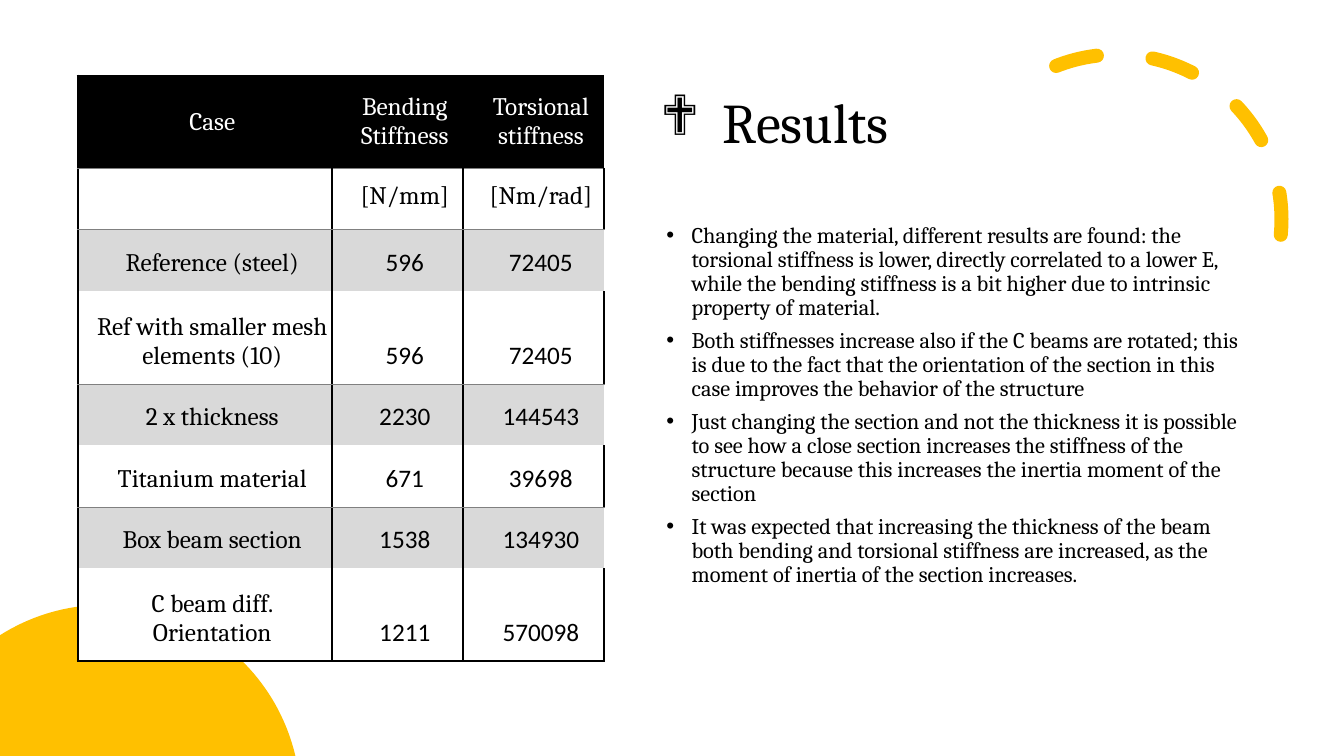
from math import acos, asin, cos, sin
from lxml.etree import SubElement
from pptx import Presentation
from pptx.dml.color import RGBColor
from pptx.enum.dml import MSO_LINE
from pptx.enum.shapes import MSO_SHAPE
from pptx.enum.text import MSO_ANCHOR, MSO_AUTO_SIZE, PP_ALIGN
from pptx.oxml.ns import qn
from pptx.util import Pt

TITLE = "Results"
POINTS = [
    "Changing the material, different results are found: the torsional stiffness is lower, "
    "directly correlated to a lower E, while the bending stiffness is a bit higher due to "
    "intrinsic property of material.",
    "Both stiffnesses increase also if the C beams are rotated; this is due to the fact that "
    "the orientation of the section in this case improves the behavior of the structure",
    "Just changing the section and not the thickness it is possible to see how a close section "
    "increases the stiffness of the structure because this increases the inertia moment of the "
    "section",
    "It was expected that increasing the thickness of the beam both bending and torsional "
    "stiffness are increased, as the moment of inertia of the section increases.",
]
ROWS = [
    ("Case", "Bending Stiffness", "Torsional stiffness"),
    ("", "[N/mm]", "[Nm/rad]"),
    ("Reference (steel)", "596", "72405"),
    ("Ref with smaller mesh elements (10)", "596", "72405"),
    ("2 x thickness", "2230", "144543"),
    ("Titanium material", "671", "39698"),
    ("Box beam section", "1538", "134930"),
    ("C beam diff. Orientation", "1211", "570098"),
]
WIDTHS = (252, 130, 140)
TALL, LOW = 92, 61
TALL_ROWS = (0, 3, 7)
BLACK, WHITE, GREY, SHADE, GOLD = "000000", "FFFFFF", "808080", "D9D9D9", "FFC000"
HEAVY, THIN = (BLACK, 1.5), (GREY, 0.5)
NO_STYLE = "{2D5ABB26-0587-4C30-8999-92F81FD0307C}"


def px(n):
    """Turn px, 100 to the inch, into EMU."""
    return round(n * 9144)


def rgb(code):
    return RGBColor.from_string(code)


def put(obj, **values):
    for name, value in values.items():
        setattr(obj, name, value)


def place(shape, left, top, width, height):
    put(shape, left=px(left), top=px(top), width=px(width), height=px(height))


def style(para, text, size, face, color, **form):
    para.text = text
    put(para, **form)
    put(para.font, size=Pt(size), name=face)
    para.font.color.rgb = rgb(color)


def bullet(para, mark, face, left, hang):
    props = para._p.get_or_add_pPr()
    props.set("marL", str(px(left)))
    props.set("indent", str(px(-hang)))
    SubElement(props, qn("a:buFont"), typeface=face)
    SubElement(props, qn("a:buChar"), char=mark)


def edge(cell, lines):
    """Draw the cell's borders; a side without a line is set to none."""
    props = cell._tc.get_or_add_tcPr()
    for pos, side in enumerate("LRTB"):
        color, width = lines.get(side, (None, 0))
        line = SubElement(props, qn(f"a:ln{side}"), w=str(Pt(width)))
        props.insert(pos, line)
        if color:
            fill = SubElement(line, qn("a:solidFill"))
            SubElement(fill, qn("a:srgbClr"), val=color)
        else:
            SubElement(line, qn("a:noFill"))


def borders(row, col):
    shaded = is_shaded(row)
    lines = {}
    if row > 0 or col == 0:
        lines["L"] = HEAVY
    if row > 0 and not (shaded and col == 2):
        lines["R"] = HEAVY
    if row == 0:
        lines["T"] = HEAVY
    elif row == 1 or shaded:
        lines["T"] = THIN
    if row == len(ROWS) - 1:
        lines["B"] = HEAVY
    elif not shaded:
        lines["B"] = THIN
    return lines


def is_shaded(row):
    return row in (2, 4, 6)


def add_arc(slide):
    arc = slide.shapes.add_shape(MSO_SHAPE.ARC, px(944), px(54), px(327), px(327))
    arc.shadow.inherit = False
    arc.rotation = 66.1
    arc.adjustments[0], arc.adjustments[1] = 144.42, 0
    arc._element.spPr.find(qn("a:xfrm")).set("flipH", "1")
    arc.fill.background()
    arc.line.color.rgb = rgb(GOLD)
    put(arc.line, width=Pt(10), dash_style=MSO_LINE.DASH)
    arc.line._get_or_add_ln().set("cap", "rnd")


def add_disc(slide):
    """Draw the part of a disc that lies inside the lower left corner."""
    x, y, radius, steps = 104, 794, 194, 60
    start, end = acos(-x / radius), asin((y - 750) / radius)
    turns = [start + (end - start) * i / steps for i in range(steps + 1)]
    rim = [(px(x + radius * cos(t)), px(y - radius * sin(t))) for t in turns]
    build = slide.shapes.build_freeform(0, px(750))
    build.add_line_segments(rim, close=True)
    disc = build.convert_to_shape()
    disc.shadow.inherit = False
    disc.fill.solid()
    disc.fill.fore_color.rgb = rgb(GOLD)
    disc.line.fill.background()


def add_text(slide):
    title, body = slide.shapes.title, slide.placeholders[1]
    place(title, 645, 52, 597, 145)
    place(body, 645, 217, 597, 458)
    form = dict(alignment=PP_ALIGN.LEFT, line_spacing=0.9,
                space_before=Pt(0), space_after=Pt(6))
    for shape, anchor in ((title, MSO_ANCHOR.MIDDLE), (body, MSO_ANCHOR.TOP)):
        put(shape.text_frame, auto_size=MSO_AUTO_SIZE.NONE, word_wrap=True,
            vertical_anchor=anchor)
    head = title.text_frame.paragraphs[0]
    style(head, TITLE, 40, "Cambria", BLACK, **form)
    bullet(head, "❖", "Wingdings", 62, 62)
    frame = body.text_frame
    for i, text in enumerate(POINTS):
        para = frame.add_paragraph() if i else frame.paragraphs[0]
        style(para, text, 16, "Cambria", BLACK, **form)
        bullet(para, "•", "Arial", 31, 25)


def add_cases(slide):
    heights = [TALL if r in TALL_ROWS else LOW for r in range(len(ROWS))]
    frame = slide.shapes.add_table(len(ROWS), len(WIDTHS), px(77), px(75),
                                   px(sum(WIDTHS)), px(sum(heights)))
    table = frame.table
    put(table, first_row=False, horz_banding=False)
    table._tbl.tblPr.find(qn("a:tableStyleId")).text = NO_STYLE
    for column, width in zip(table.columns, WIDTHS):
        column.width = px(width)
    anchors = {0: MSO_ANCHOR.MIDDLE, 1: MSO_ANCHOR.TOP}
    for r, texts in enumerate(ROWS):
        table.rows[r].height = px(heights[r])
        for c, text in enumerate(texts):
            cell = table.cell(r, c)
            put(cell, margin_left=px(17), margin_right=px(2), margin_top=px(13),
                margin_bottom=px(13), vertical_anchor=anchors.get(r, MSO_ANCHOR.BOTTOM))
            cell.fill.solid()
            fill = BLACK if r == 0 else SHADE if is_shaded(r) else WHITE
            cell.fill.fore_color.rgb = rgb(fill)
            face = "Calibri" if r > 1 and c > 0 else "Cambria"
            style(cell.text_frame.paragraphs[0], text, 18, face,
                  WHITE if r == 0 else BLACK, alignment=PP_ALIGN.CENTER)
            edge(cell, borders(r, c))


def main():
    deck = Presentation()
    put(deck, slide_width=px(1333), slide_height=px(750))
    slide = deck.slides.add_slide(deck.slide_layouts[1])
    add_text(slide)
    add_arc(slide)
    add_disc(slide)
    add_cases(slide)
    deck.save("out.pptx")


if __name__ == "__main__":
    main()
